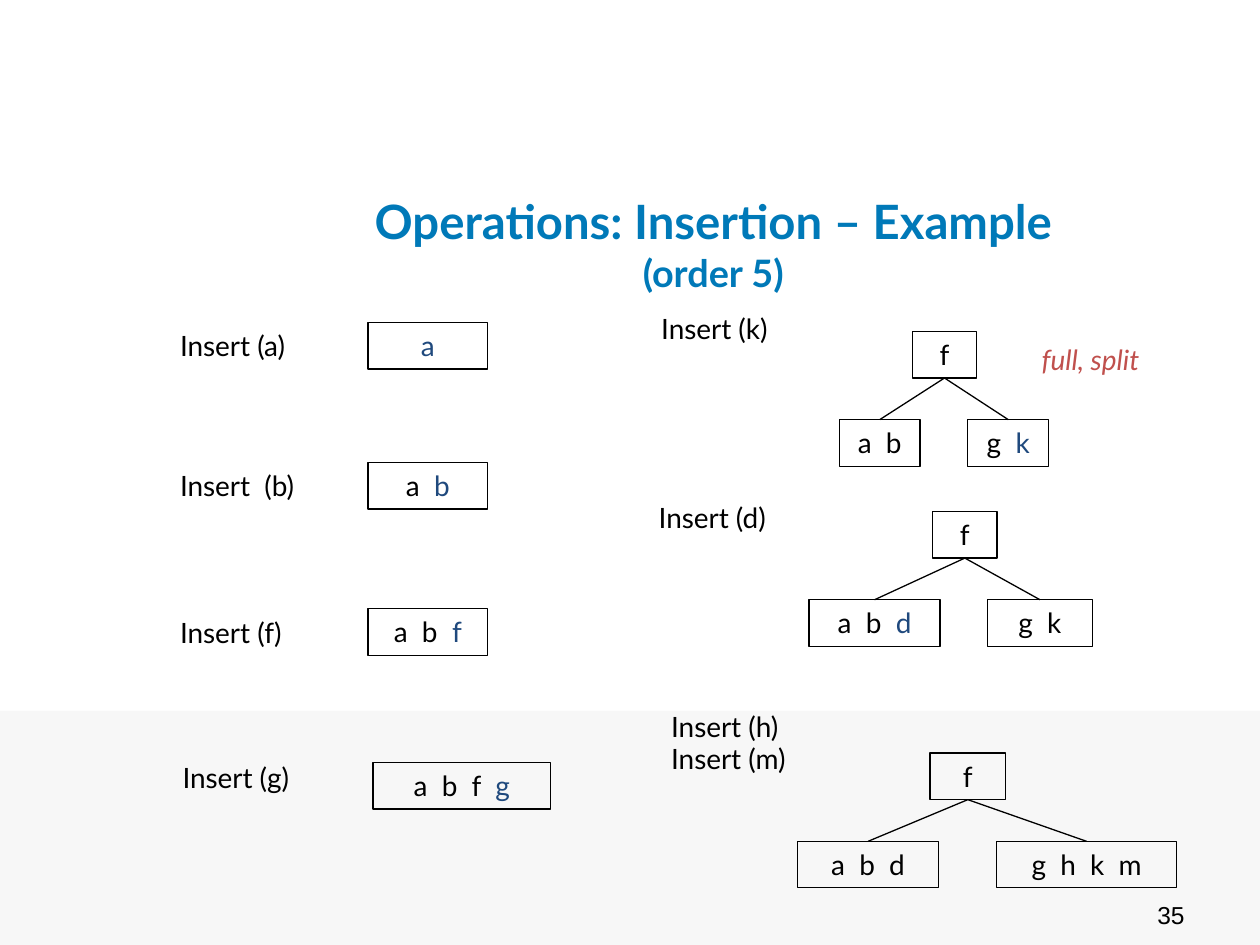
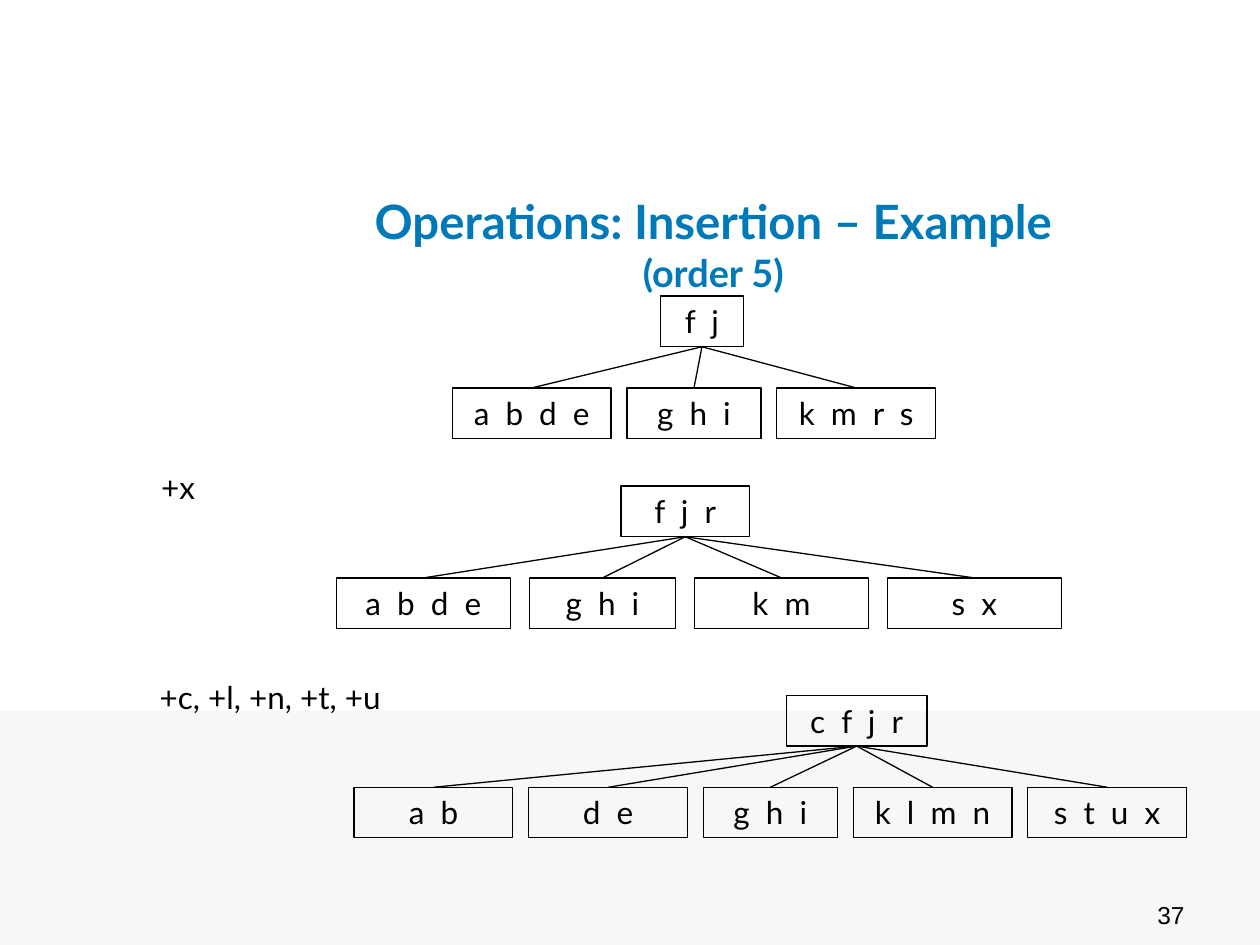
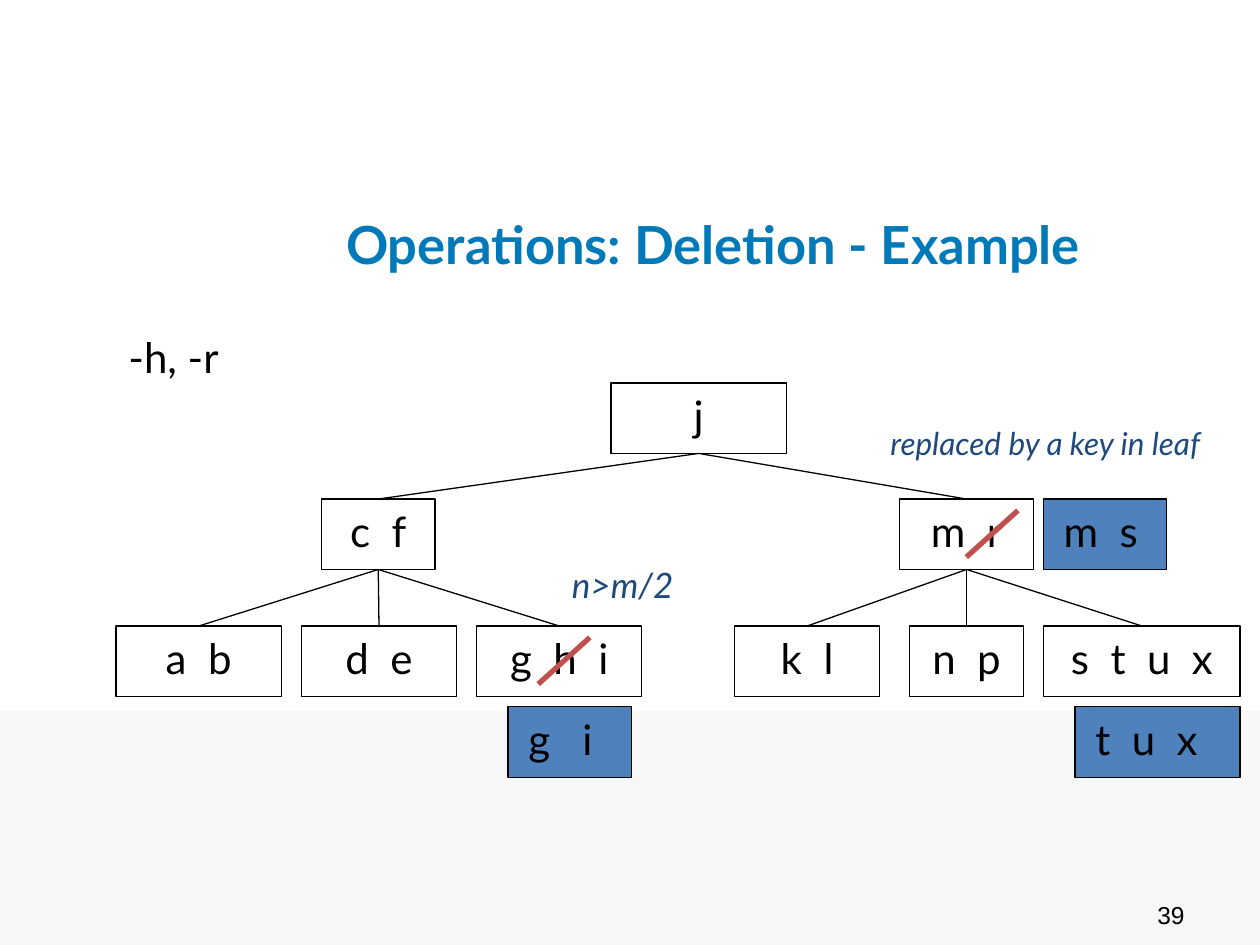
from pptx import Presentation
from pptx.dml.color import RGBColor
from pptx.enum.shapes import MSO_CONNECTOR, MSO_SHAPE
from pptx.enum.text import MSO_ANCHOR, PP_ALIGN
from pptx.oxml.ns import qn
from pptx.util import Cm, Pt
from lxml.etree import SubElement

# Shared look
BLACK, BLUE, RED = "000000", "1F497D", "C0504D"
TITLE_BLUE, NODE_BLUE, BAND_GREY = "0079B8", "4F81BD", "F7F7F7"
FONT = "Lato"
NODE_HEIGHT = {16: 0.94, 18: 1.02, 24: 1.42}
LINE_WIDTH = 0.75


def color(hex_text):
    return RGBColor.from_string(hex_text)


def add_run(paragraph, text, hex_text=BLACK, **formats):
    run = paragraph.add_run()
    run.text = text
    run.font.color.rgb = color(hex_text)
    for name, value in {"name": FONT, **formats}.items():
        setattr(run.font, name, value)


def add_label(slide, text, left, top, width, size, height=0.94, hex_text=BLACK,
              align=PP_ALIGN.LEFT, anchor=MSO_ANCHOR.TOP, **formats):
    box = slide.shapes.add_textbox(Cm(left), Cm(top), Cm(width), Cm(height))
    frame = box.text_frame
    frame.word_wrap, frame.vertical_anchor = True, anchor
    paragraph = frame.paragraphs[0]
    paragraph.alignment = align
    if text:
        add_run(paragraph, text, hex_text, size=Pt(size), **formats)
    return paragraph


def add_box(slide, left, top, width, height, fill=None):
    shape = slide.shapes.add_shape(
        MSO_SHAPE.RECTANGLE, Cm(left), Cm(top), Cm(width), Cm(height))
    shape.shadow.inherit = False
    if fill:
        shape.fill.solid()
        shape.fill.fore_color.rgb = color(fill)
    else:
        shape.fill.background()
    return shape


def add_node(slide, keys, left, top, width, size, has_new=False, replaces=False):
    """Box of keys; has_new marks the last key, replaces makes a filled box."""
    node = add_box(slide, left, top, width, NODE_HEIGHT[size],
                   NODE_BLUE if replaces else None)
    node.line.color.rgb = color(BLACK)
    node.line.width = Pt(LINE_WIDTH)
    frame = node.text_frame
    frame.word_wrap, frame.vertical_anchor = True, MSO_ANCHOR.TOP
    paragraph = frame.paragraphs[0]
    paragraph.alignment = PP_ALIGN.LEFT if replaces else PP_ALIGN.CENTER
    if replaces:
        frame.margin_left = Cm(0.41)
    text = "  ".join(keys)
    if has_new:
        if text[:-1]:
            add_run(paragraph, text[:-1], size=Pt(size))
        add_run(paragraph, text[-1], BLUE, size=Pt(size))
    else:
        add_run(paragraph, text, size=Pt(size))
    return node


def add_line(slide, start=(0, 0), end=(0, 0), hex_text=BLACK, width=LINE_WIDTH):
    line = slide.shapes.add_connector(
        MSO_CONNECTOR.STRAIGHT, *(Cm(value) for value in (*start, *end)))
    line.line.color.rgb = color(hex_text)
    line.line.width = Pt(width)
    SubElement(line._element.spPr, qn("a:effectLst"))
    return line


def row(left, gap, nodes):
    """Place (keys, width, ...) nodes side by side with equal gaps."""
    placed = []
    for keys, width, *marks in nodes:
        placed.append((keys, left, width, *marks))
        left += width + gap
    return placed


def add_children(slide, parent, top, children, size):
    """Draw a row of nodes, each linked to its parent; return the nodes."""
    nodes = []
    for keys, left, width, *marks in children:
        node = add_node(slide, keys, left, top, width, size, *marks)
        link = add_line(slide)
        link.begin_connect(parent, 2)
        link.end_connect(node, 0)
        nodes.append(node)
    return nodes


def add_tree(slide, root, level_gap, children, size):
    keys, left, top, width = root
    node = add_node(slide, keys, left, top, width, size)
    return add_children(slide, node, top + level_gap, children, size)


def add_base(presentation, number, title, title_size, subtitle=None):
    slide = presentation.slides.add_slide(presentation.slide_layouts[6])
    band = add_box(slide, 0, 14.33, 25.4, 4.72, BAND_GREY)
    band.line.fill.background()
    paragraph = add_label(slide, title, 4.88, 3.81, 19, title_size, 2.21, TITLE_BLUE,
                          PP_ALIGN.CENTER, MSO_ANCHOR.MIDDLE, bold=True)
    if subtitle:
        paragraph.add_line_break()
        add_run(paragraph, subtitle, TITLE_BLUE, size=Pt(21.6), bold=True)
    add_label(slide, number, 18.21, 17.93, 5.92, 14, 1.02, align=PP_ALIGN.RIGHT,
              anchor=MSO_ANCHOR.MIDDLE, name="Arial")
    return slide


def build_first_insertions(presentation):
    slide = add_base(presentation, "35", "Operations: Insertion – Example", 27, "(order 5)")
    size, level_gap = 16, 1.78

    # Single node filling up
    for text, label_left, label_top, keys, left, top, width in (
            ("Insert (a)", 3.38, 6.5, "a", 7.42, 6.5, 2.41),
            ("Insert  (b)", 3.38, 9.32, "ab", 7.42, 9.32, 2.41),
            ("Insert (f)", 3.38, 12.29, "abf", 7.42, 12.27, 2.41),
            ("Insert (g)", 3.43, 15.21, "abfg", 7.52, 15.37, 3.58)):
        add_label(slide, text, label_left, label_top, 3.7, size)
        add_node(slide, keys, left, top, width, size, True)

    # Trees after the split
    for text, left, top in (("Insert (k)", 13.08, 6.15), ("Insert (d)", 13.03, 9.96),
                            ("Insert (h)", 13.28, 14.17), ("Insert (m)", 13.28, 14.83)):
        add_label(slide, text, left, top, 3.23, size)
    add_label(slide, "full, split", 20.75, 6.78, 3.18, size, hex_text=RED, italic=True)
    for root, leaves in (
            (("f", 18.39, 6.68, 1.3), row(16.92, 0.96, [("ab", 1.63), ("gk", 1.63, True)])),
            (("f", 18.8, 10.31, 1.3), row(16.31, 0.96, [("abd", 2.64, True), ("gk", 2.11)])),
            (("f", 18.75, 15.18, 1.52), row(16.08, 1.17, [("abd", 2.84), ("ghkm", 3.63)]))):
        add_tree(slide, root, level_gap, leaves, size)


def build_later_insertions(presentation):
    slide = add_base(presentation, "37", "Operations: Insertion – Example", 27, "(order 5)")
    size, level_gap = 18, 1.85
    wide, narrow = 3.2, 2.7
    for root, leaves in (
            (("fj", 13.31, 5.97, 1.68),
             row(9.12, 0.32, [("abde", wide), ("ghi", narrow), ("kmrs", wide)])),
            (("fjr", 12.52, 9.8, 2.59),
             row(6.78, 0.38, [("abde", 3.51), ("ghi", 2.95), ("km", 3.51), ("sx", 3.51)])),
            (("cfjr", 15.85, 14.02, 2.84),
             row(7.14, 0.32, [("ab", wide), ("de", wide), ("ghi", narrow),
                              ("klmn", wide), ("stux", wide)]))):
        add_tree(slide, root, level_gap, leaves, size)
    add_label(slide, "+x", 3, 9.32, 3.35, size)
    add_label(slide, "+c, +l, +n, +t, +u", 2.97, 13.54, 5.72, size)


def build_deletion(presentation):
    slide = add_base(presentation, "39", "Operations: Deletion - Example", 30)
    size, middle_top, leaf_top = 24, 10.06, 12.62

    # Three-level tree
    left_node, right_node = add_tree(
        slide, ("j", 12.32, 7.72, 3.53), middle_top - 7.72,
        [("cf", 6.48, 2.29), ("mr", 18.14, 2.69)], size)
    add_children(slide, left_node, leaf_top,
                 row(2.34, 0.41, [("ab", 3.33), ("de", 3.12), ("ghi", 3.33)]), size)
    add_children(slide, right_node, leaf_top,
                 [("kl", 14.81, 2.92)] + row(18.34, 0.41, [("np", 2.29), ("stux", 3.96)]), size)

    # Struck-out keys and the nodes that replace them
    for left, bottom in ((10.85, 13.79), (19.48, 11.23)):
        add_line(slide, (left, bottom), (left + 1.04, bottom - 0.94), RED, 3)
    for keys, left, top, width in (("ms", 21.03, middle_top, 2.49),
                                   (("g", " i"), 10.24, 14.25, 2.49),
                                   ("tux", 21.67, 14.25, 3.33)):
        add_node(slide, keys, left, top, width, size, replaces=True)

    # Labels
    add_label(slide, "-h, -r", 2.34, 6.55, 4.17, size, 1.4)
    add_label(slide, "n>m/2", 11.28, 11.23, 2.69, 20, 1.22, BLUE, italic=True)
    add_label(slide, "replaced by a key in leaf", 17.7, 8.43, 7.7, 18, 0.84, BLUE, italic=True)


def main():
    presentation = Presentation()
    presentation.slide_width, presentation.slide_height = Cm(25.4), Cm(19.05)
    build_first_insertions(presentation)
    build_later_insertions(presentation)
    build_deletion(presentation)
    presentation.save("out.pptx")


if __name__ == "__main__":
    main()
